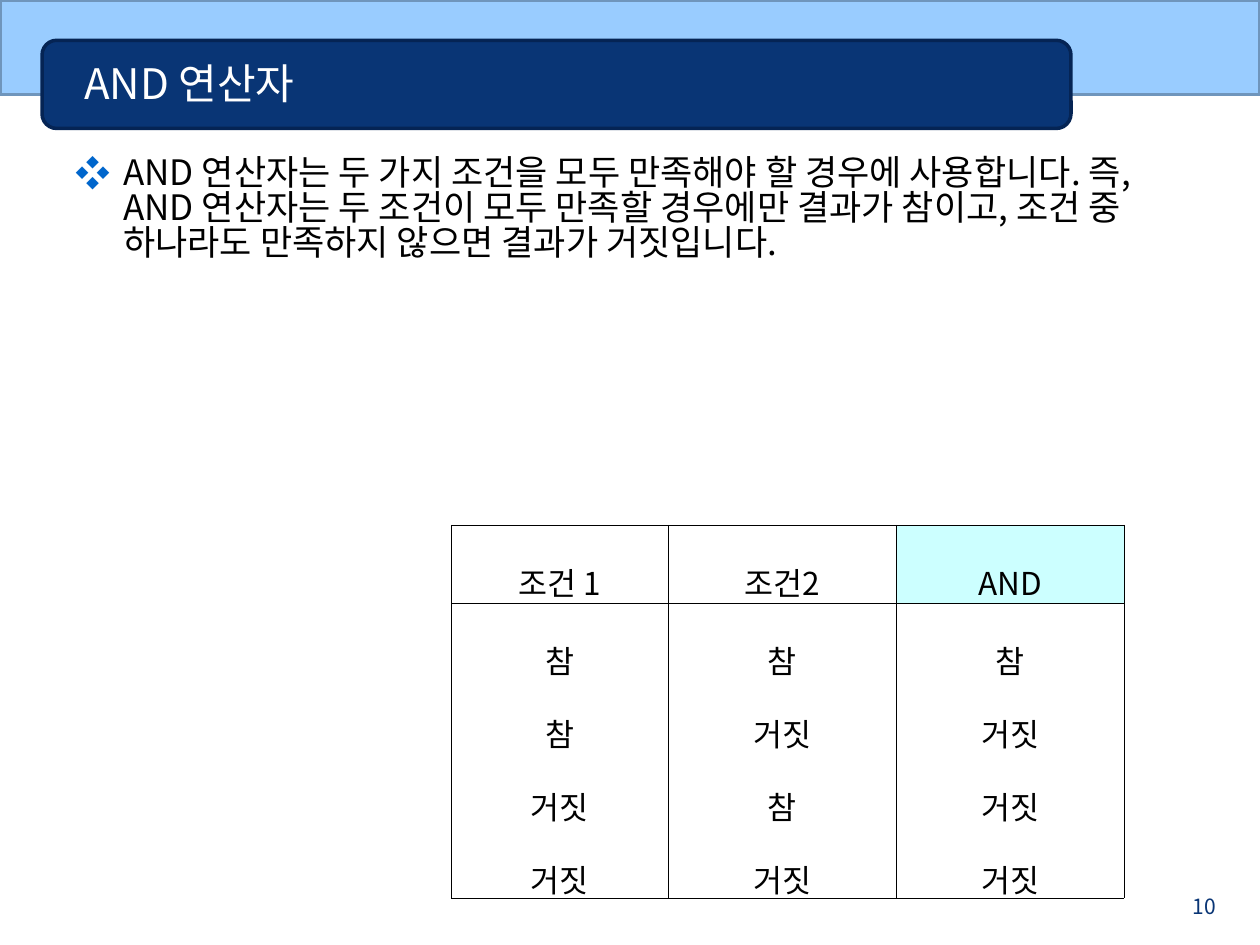
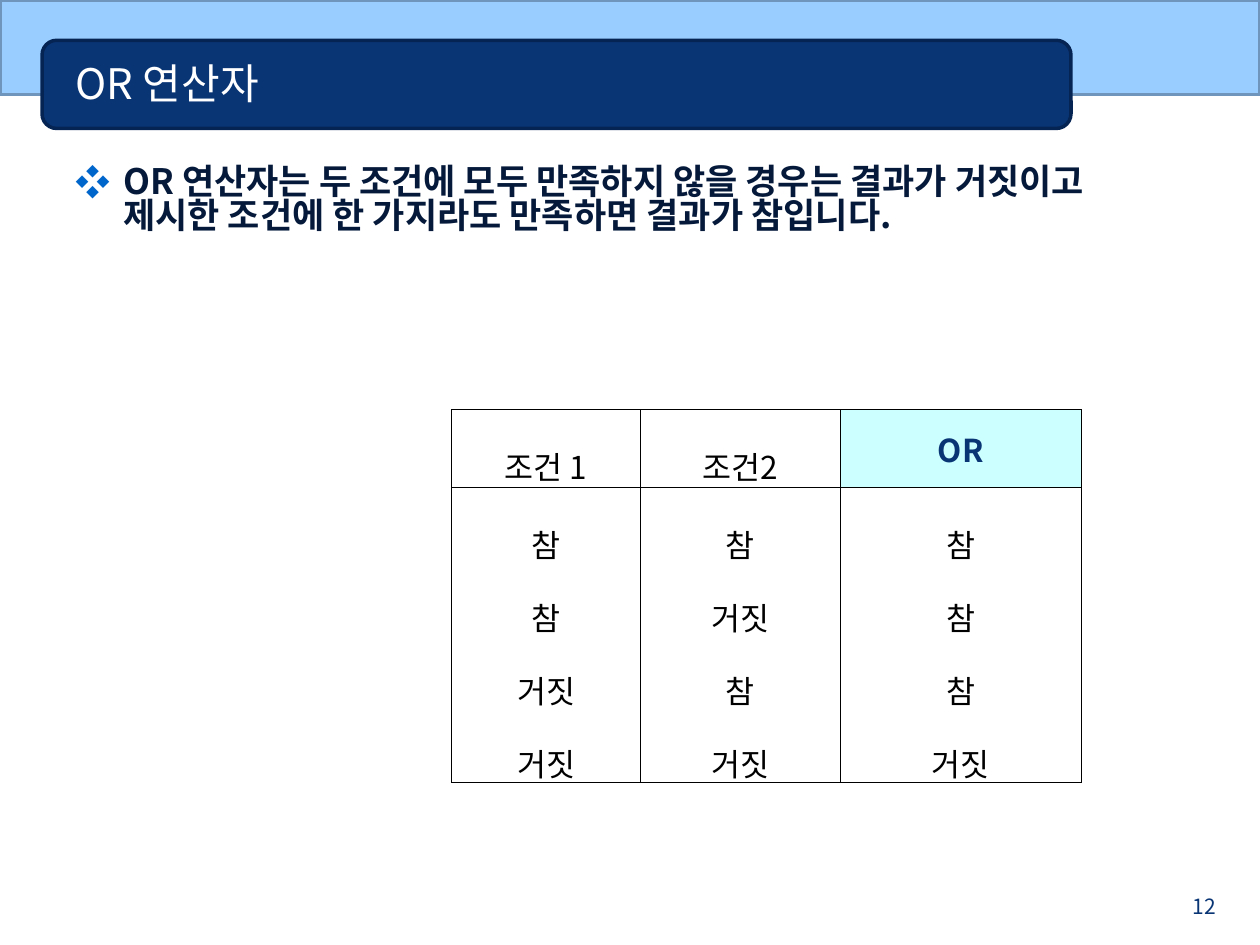
from lxml import etree
from pptx import Presentation, util as u
from pptx.dml.color import RGBColor
from pptx.enum import shapes, text
from pptx.oxml import ns

FONT = "Noto Sans CJK KR"
COLS, ROWS = 120, 90
WIDTH, HEIGHT = u.Inches(10), u.Inches(7.5)
COLORS = {
    "band": "99CCFF", "band_line": "6F95BC",
    "navy": "093575", "navy_line": "052454",
    "bullet": "0066CC", "deep": "051A3B",
    "result": "CCFFFF", "black": "000000", "white": "FFFFFF",
}
TRUE, FALSE = "참", "거짓"
INPUTS = [[TRUE, TRUE, FALSE, FALSE], [TRUE, FALSE, TRUE, FALSE]]


def rgb(name):
    return RGBColor.from_string(COLORS[name])


def col(n):
    return round(WIDTH * n / COLS)


def row(n):
    return round(HEIGHT * n / ROWS)


def box(x, y, w, h):
    return col(x), row(y), col(w), row(h)


def format_text(tf, size, color, bold=False, align=text.PP_ALIGN.LEFT, spacing=None):
    for p in tf.paragraphs:
        p.alignment = align
        p.line_spacing = spacing
        for r in p.runs:
            r.font.size = u.Pt(size)
            r.font.name = FONT
            r.font.bold = bold
            r.font.color.rgb = rgb(color)
            ea = etree.SubElement(r.font._element, ns.qn("a:ea"))
            ea.set("typeface", FONT)


def add_band(s, kind, area, fill, line):
    sp = s.shapes.add_shape(kind, *area)
    sp.shadow.inherit = False
    sp.fill.solid()
    sp.fill.fore_color.rgb = rgb(fill)
    sp.line.color.rgb = rgb(line)
    sp.line.width = u.Pt(2)


def add_text(s, area, words):
    tf = s.shapes.add_textbox(*area).text_frame
    tf.word_wrap = True
    tf.text = words
    return tf


def set_title(s, words, inset):
    title = s.shapes.title
    title.left, title.top, title.width, title.height = box(6, 4.2, 95, 7.44)
    tf = title.text_frame
    tf.text = words
    tf.word_wrap = True
    tf.auto_size = text.MSO_AUTO_SIZE.NONE
    tf.vertical_anchor = text.MSO_ANCHOR.MIDDLE
    tf.margin_left = u.Inches(inset)
    format_text(tf, 24, "white")
    title.element.getparent().append(title.element)


def add_operator_slide(prs, title, number, inset=0.1):
    s = prs.slides.add_slide(prs.slide_layouts[5])
    add_band(s, shapes.MSO_SHAPE.RECTANGLE, box(0, 0, 120, 9), "band", "band_line")
    add_band(s, shapes.MSO_SHAPE.ROUNDED_RECTANGLE, box(4, 3.84, 98, 8.4),
             "navy", "navy_line")
    tf = add_text(s, box(111, 84.48, 6, 2.5), number)
    format_text(tf, 12, "navy", align=text.PP_ALIGN.RIGHT)
    set_title(s, title, inset)
    return s


def add_bullet(s, area, words, color, bold=False):
    tf = add_text(s, area, words)
    format_text(tf, 20, color, bold, spacing=0.83)
    p = tf.paragraphs[0]
    p.space_before = u.Pt(24)
    pPr = p._p.get_or_add_pPr()
    pPr.set("marL", str(u.Inches(0.38)))
    pPr.set("indent", str(-u.Inches(0.38)))
    clr = etree.SubElement(pPr, ns.qn("a:buClr"))
    etree.SubElement(clr, ns.qn("a:srgbClr")).set("val", COLORS["bullet"])
    etree.SubElement(pPr, ns.qn("a:buFont")).set("typeface", FONT)
    etree.SubElement(pPr, ns.qn("a:buChar")).set("char", "❖")


def add_borders(cell):
    tcPr = cell._tc.get_or_add_tcPr()
    for side in ("lnL", "lnR", "lnT", "lnB"):
        ln = etree.SubElement(tcPr, ns.qn("a:" + side))
        ln.set("w", str(u.Pt(0.11)))
        fill = etree.SubElement(ln, ns.qn("a:solidFill"))
        etree.SubElement(fill, ns.qn("a:srgbClr")).set("val", COLORS["black"])


def fill_cell(cell, words, fill=None, color="black", bold=False, spacing=1.6):
    add_borders(cell)
    cell.margin_left = cell.margin_right = u.Inches(0.02)
    cell.vertical_anchor = text.MSO_ANCHOR.MIDDLE
    if fill:
        cell.fill.solid()
        cell.fill.fore_color.rgb = rgb(fill)
    else:
        cell.fill.background()
    cell.text_frame.text = words
    format_text(cell.text_frame, 18, color, bold, text.PP_ALIGN.CENTER, spacing)


def add_truth_table(s, top, widths, operator, results, **header_style):
    heights = [7.44, 28.08] if top else []
    frame = s.shapes.add_table(2, 3, *box(43, top, sum(widths), sum(heights)))
    table = frame.table
    table.first_row = table.horz_banding = False
    for c, w in zip(table.columns, widths):
        c.width = col(w)
    for r, h in zip(table.rows, heights):
        r.height = row(h)
    fill_cell(table.cell(0, 0), "조건 1")
    fill_cell(table.cell(0, 1), "조건2")
    fill_cell(table.cell(0, 2), operator, "result", **header_style)
    for i, values in enumerate(INPUTS + [results]):
        fill_cell(table.cell(1, i), "\n".join(values))


def main():
    prs = Presentation()
    prs.slide_width, prs.slide_height = WIDTH, HEIGHT

    s = add_operator_slide(prs, "AND 연산자", "10", inset=0.17)
    add_bullet(s, box(6, 14.4, 109, 27.84),
               "AND 연산자는 두 가지 조건을 모두 만족해야 할 경우에 사용합니다. 즉, "
               "AND 연산자는 두 조건이 모두 만족할 경우에만 결과가 참이고, 조건 중 "
               "하나라도 만족하지 않으면 결과가 거짓입니다.", "black")
    add_truth_table(s, 50, [20.64, 21.72, 21.72], "AND", [TRUE, FALSE, FALSE, FALSE])

    s = add_operator_slide(prs, "OR 연산자", "12")
    add_bullet(s, box(6, 15.24, 106, 13),
               "OR 연산자는 두 조건에 모두 만족하지 않을 경우는 결과가 거짓이고 "
               "제시한 조건에 한 가지라도 만족하면 결과가 참입니다.", "deep", bold=True)
    add_truth_table(s, 39, [18, 19, 23], "OR", [TRUE, TRUE, TRUE, FALSE],
                    color="navy", bold=True, spacing=None)

    prs.save("out.pptx")


if __name__ == "__main__":
    main()
